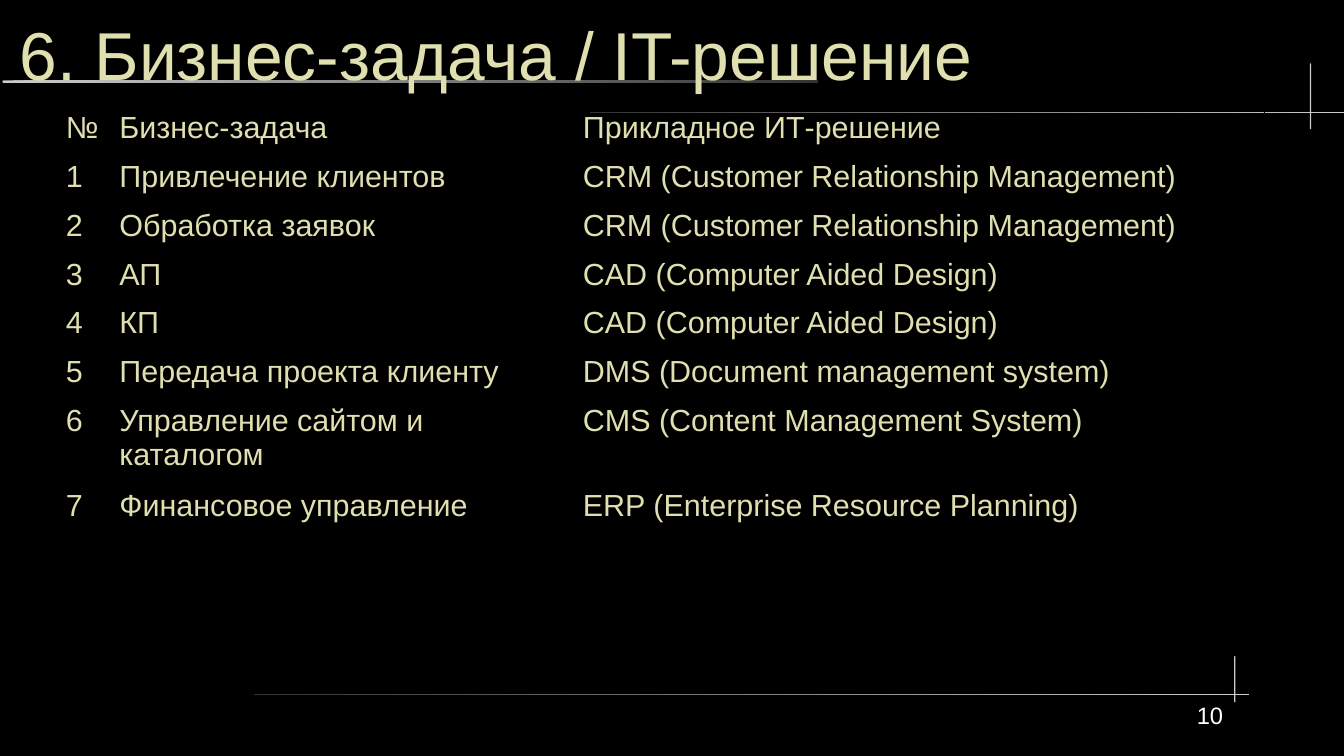
from pptx import Presentation
from pptx.dml.color import RGBColor as RGB
from pptx.enum.shapes import MSO_SHAPE as Kind
from pptx.enum.text import MSO_ANCHOR as Anchor, PP_ALIGN as Align
from pptx.oxml import parse_xml
from pptx.oxml.ns import nsdecls
from pptx.util import Inches, Pt

TASKS = [
    ("№", "Бизнес-задача", "Прикладное ИТ-решение"),
    ("1", "Привлечение клиентов", "CRM (Customer Relationship Management)"),
    ("2", "Обработка заявок", "CRM (Customer Relationship Management)"),
    ("3", "АП", "CAD (Computer Aided Design)"),
    ("4", "КП", "CAD (Computer Aided Design)"),
    ("5", "Передача проекта клиенту", "DMS (Document management system)"),
    ("6", "Управление сайтом и каталогом", "CMS (Content Management System)"),
    ("7", "Финансовое управление", "ERP (Enterprise Resource Planning)"),
]


class Deck:
    font = "Arial"
    hues = {"back": "000000", "text": "DFDFAF", "page": "FFFFFF",
            "light": "CCCCCC", "dark": "333333"}

    def __init__(self, wide, high):
        self.prs = Presentation()
        self.prs.slide_width, self.prs.slide_height = Inches(wide), Inches(high)
        self.slide = self.prs.slides.add_slide(self.prs.slide_layouts[6])
        fill = self.slide.background.fill
        fill.solid()
        fill.fore_color.rgb = self.hue("back")

    def hue(self, name):
        return RGB.from_string(self.hues[name])

    def rule(self, x, y, w, h, *tones):
        """Draw a thin bar: one tone is solid, two fade from left to right."""
        bar = self.slide.shapes.add_shape(Kind.ROUNDED_RECTANGLE, *map(Inches, (x, y, w, h)))
        bar.adjustments[0] = 0.5
        bar.shadow.inherit = False
        bar.line.fill.background()
        if len(tones) == 1:
            bar.fill.solid()
            bar.fill.fore_color.rgb = self.hue(tones[0])
        else:
            bar.fill.gradient()
            bar.fill.gradient_angle = 0
            for stop, tone in zip(bar.fill.gradient_stops, tones):
                stop.color.rgb = self.hue(tone)

    def style(self, para, size, tone):
        font = para.font
        font.name, font.size = self.font, Pt(size)
        font.color.rgb = self.hue(tone)

    def text(self, x, y, w, h, words, size, tone, align=Align.LEFT, anchor=Anchor.TOP):
        frame = self.slide.shapes.add_textbox(*map(Inches, (x, y, w, h))).text_frame
        frame.word_wrap = True
        frame.vertical_anchor = anchor
        frame.margin_left = frame.margin_right = 0
        frame.margin_top = frame.margin_bottom = 0
        para = frame.paragraphs[0]
        para.text, para.alignment = words, align
        self.style(para, size, tone)

    def edge(self, cell):
        """Give the cell thin borders in the background colour."""
        props = cell._tc.get_or_add_tcPr()
        for i, side in enumerate(("lnL", "lnR", "lnT", "lnB")):
            props.insert(i, parse_xml(
                f'<a:{side} {nsdecls("a")} w="{Pt(0.57)}"><a:solidFill>'
                f'<a:srgbClr val="{self.hues["back"]}"/></a:solidFill></a:{side}>'))

    def table(self, x, y, cols, high, rows):
        grid = self.slide.shapes.add_table(
            len(rows), len(cols), Inches(x), Inches(y),
            Inches(sum(cols)), Inches(high * len(rows))).table
        grid.first_row = grid.horz_banding = False
        for col, wide in zip(grid.columns, cols):
            col.width = Inches(wide)
        for line, words in zip(grid.rows, rows):
            line.height = Inches(high)
            for cell, word in zip(line.cells, words):
                cell.margin_left = cell.margin_right = Inches(0.04)
                cell.margin_top = cell.margin_bottom = Inches(0.05)
                cell.text = word
                self.style(cell.text_frame.paragraphs[0], 18, "text")
                cell.fill.background()
                self.edge(cell)

    def save(self):
        self.prs.save("out.pptx")


def main():
    deck = Deck(11.02, 6.2)
    deck.rule(0.02, 0.66, 6.69, 0.02, "light", "dark")
    deck.rule(4.84, 0.92, 6.2, 0.01, "dark", "light")
    deck.rule(10.74, 0.52, 0.01, 0.54, "light")
    deck.rule(2.08, 5.69, 8.16, 0.01, "dark", "light")
    deck.rule(10.12, 5.38, 0.01, 0.38, "light")
    deck.text(0.16, 0.08, 10.43, 0.71, "6. Бизнес-задача / IT-решение",
              40, "text", anchor=Anchor.MIDDLE)
    deck.table(0.5, 0.86, (0.44, 3.8, 5.63), 0.38, TASKS)
    deck.text(8.26, 5.75, 1.77, 0.45, "10", 14, "page", align=Align.RIGHT)
    deck.save()


if __name__ == "__main__":
    main()
